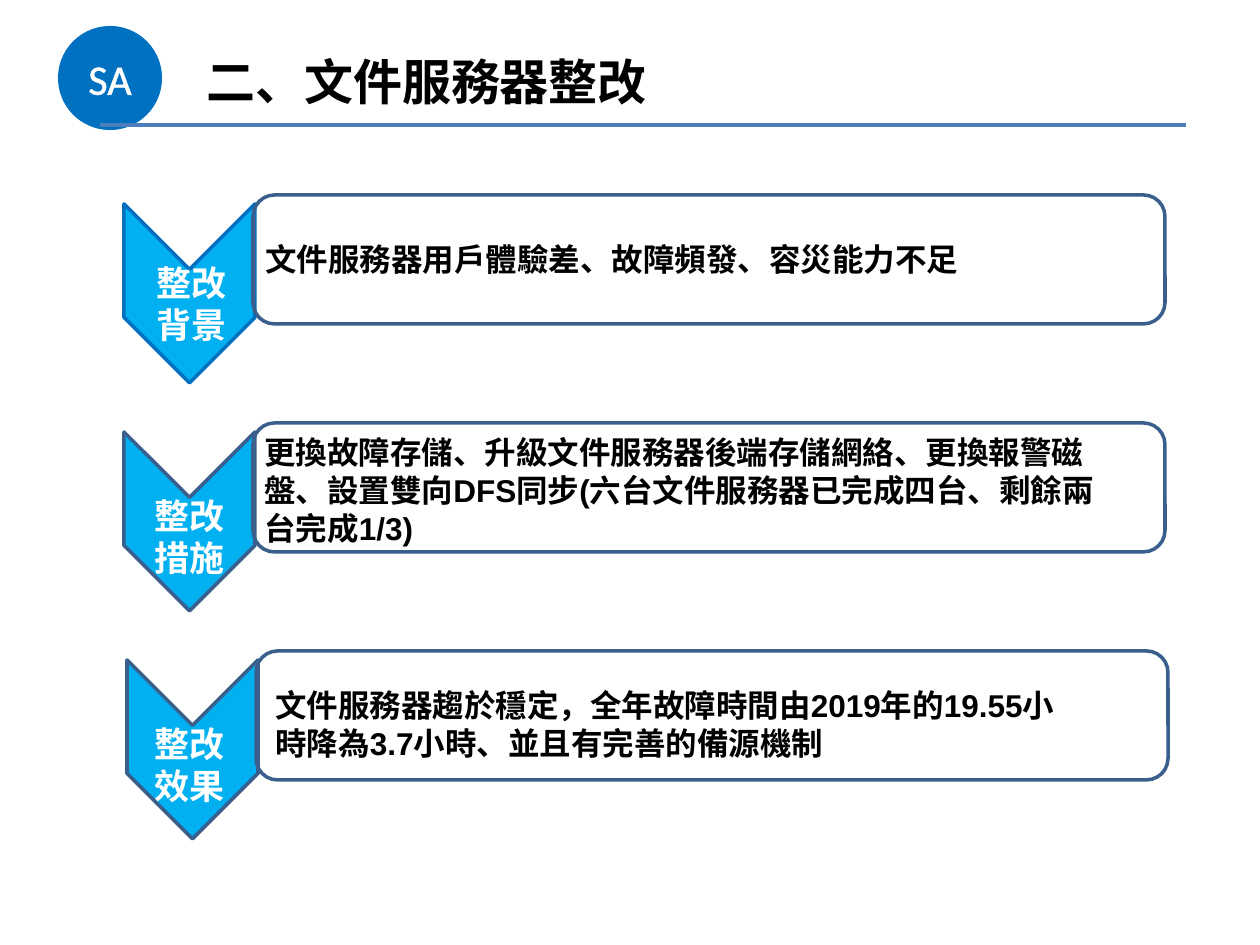
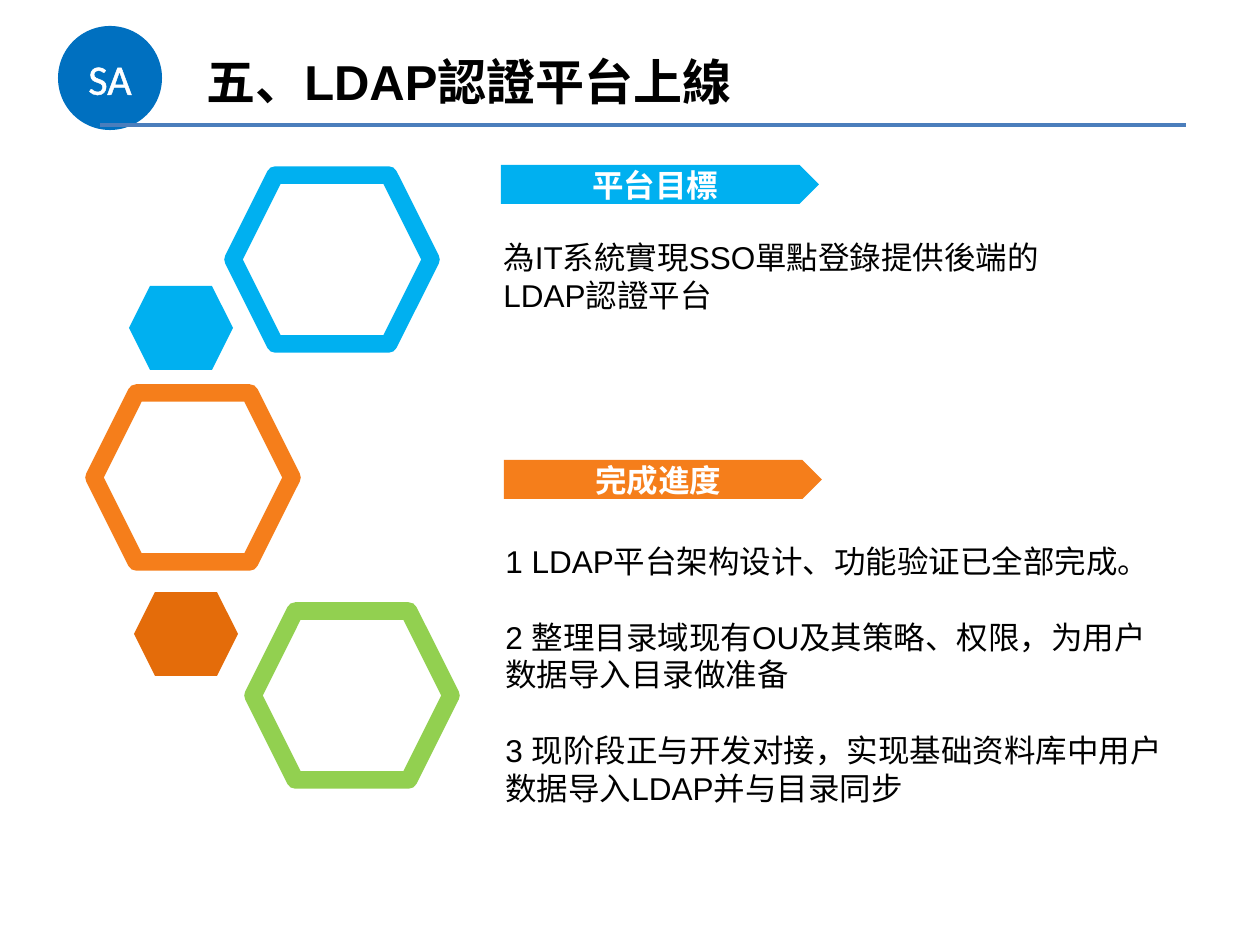
import pptx
import pptx.util
import pptx.dml.color
import pptx.enum.shapes
import pptx.enum.text
import lxml.etree

PIXEL = 914400 / 126
COLOURS = {
    "ink": "000000", "white": "FFFFFF", "badge": "0070C0", "rule": "4B7EBC",
    "sky": "00B0F0", "steel": "3A5F8C", "orange": "F57E1B",
    "dark orange": "E46C0A", "green": "92D050",
}
SHAPES = pptx.enum.shapes.MSO_SHAPE
ALIGN = pptx.enum.text.PP_ALIGN
ANCHOR = pptx.enum.text.MSO_ANCHOR


def emu(*pixels):
    """Turn pixel lengths into EMU."""
    return [pptx.util.Emu(round(pixel * PIXEL)) for pixel in pixels]


def colour(name):
    """Look up a named colour."""
    return pptx.dml.color.RGBColor.from_string(COLOURS[name])


def write(frame, text, size, ink="ink", bold=False, font="Arial", gap=0):
    """Fill a text frame, one paragraph a line, and format its runs."""
    frame.word_wrap = True
    frame.text = text
    for paragraph in frame.paragraphs:
        paragraph.space_after = pptx.util.Pt(gap)
        for run in paragraph.runs:
            run.font.size = pptx.util.Pt(size)
            run.font.name = font
            run.font.bold = bold
            run.font.color.rgb = colour(ink)


def add_text(slide, box, text, size, **style):
    """Place a text box."""
    write(slide.shapes.add_textbox(*emu(*box)).text_frame, text, size, **style)


def add_figure(slide, preset, box, fill=None, line=None, width=2):
    """Place a preset shape with an optional fill and outline."""
    figure = slide.shapes.add_shape(preset, *emu(*box))
    figure.shadow.inherit = False
    if fill:
        figure.fill.solid()
        figure.fill.fore_color.rgb = colour(fill)
    else:
        figure.fill.background()
    if line:
        figure.line.color.rgb = colour(line)
        figure.line.width = pptx.util.Pt(width)
    else:
        figure.line.fill.background()
    return figure


def add_caption(figure, text, size, bold=False):
    """Centre white text inside a filled shape."""
    frame = figure.text_frame
    write(frame, text, size, ink="white", bold=bold, font="Calibri")
    frame.vertical_anchor = ANCHOR.MIDDLE
    frame.paragraphs[0].alignment = ALIGN.CENTER
    frame.margin_top = frame.margin_bottom = 0


def outline_text(run, ink, width):
    """Give the letters of a run an outline."""
    qn = pptx.oxml.ns.qn
    outline = lxml.etree.Element(qn("a:ln"), w=str(pptx.util.Pt(width)))
    fill = lxml.etree.SubElement(outline, qn("a:solidFill"))
    lxml.etree.SubElement(fill, qn("a:srgbClr"), val=COLOURS[ink])
    run._r.get_or_add_rPr().insert(0, outline)


def add_header(slide, title):
    """Draw the round badge, the rule and the slide title."""
    badge = add_figure(slide, SHAPES.OVAL, (58, 26, 104, 104), fill="badge")
    add_caption(badge, "SA", 24)
    outline_text(badge.text_frame.paragraphs[0].runs[0], "white", 1.45)
    rule = slide.shapes.add_connector(
        pptx.enum.shapes.MSO_CONNECTOR.STRAIGHT, *emu(100, 125, 1186, 125))
    rule.line.color.rgb = colour("rule")
    rule.line.width = pptx.util.Pt(2)
    lxml.etree.SubElement(rule._element.spPr, pptx.oxml.ns.qn("a:effectLst"))
    add_text(slide, (194, 45, 903, 72), title, 28, bold=True)


def add_step(slide, left, top, label, label_at, detail, detail_box, edge):
    """Draw a down chevron with its label and the framed detail beside it."""
    chevron = add_figure(slide, SHAPES.CHEVRON, (left - 153, top + 33, 179, 131),
                         fill="sky", line=edge)
    chevron.rotation = 90
    add_figure(slide, SHAPES.ROUNDED_RECTANGLE, (left, top, 912, 129), line="steel")
    label_x, label_y = label_at
    add_text(slide, (left + label_x, top + label_y, 111, 97), label, 20,
             ink="white", bold=True)
    detail_x, detail_y, width, height = detail_box
    add_text(slide, (left + detail_x, top + detail_y, width, height), detail, 18,
             bold=True)


def add_hexagons(slide, left, top):
    """Draw the zigzag of three outlined and two solid hexagons."""
    rings = [(139, "sky"), (0, "orange"), (159, "green")]
    for index, (x, line) in enumerate(rings):
        add_figure(slide, SHAPES.HEXAGON, (left + x, top + index * 218, 198, 169),
                   line=line, width=10)
    for x, y, fill in [(35, 111, "sky"), (40, 417, "dark orange")]:
        add_figure(slide, SHAPES.HEXAGON, (left + x, top + y, 104, 84), fill=fill)


def add_section(slide, left, top, heading, fill, text, text_box):
    """Draw a pentagon heading and the text below it."""
    banner = add_figure(slide, SHAPES.PENTAGON, (left, top, 318, 39), fill=fill)
    add_caption(banner, heading, 18, bold=True)
    x, y, width, height = text_box
    add_text(slide, (left + x, top + y, width, height), text, 18, gap=21.5)


def build_file_server(slide):
    """Compose the file server slide: background, measures and results."""
    add_header(slide, "二、文件服務器整改")
    steps = [
        (253, "整改背景", (-109, 60), "文件服務器用戶體驗差、故障頻發、容災能力不足",
         (0, 39, 824, 50), "badge"),
        (253, "整改措施", (-111, 65),
         "更換故障存儲、升級文件服務器後端存儲網絡、更換報警磁盤、設置雙向DFS同步"
         "(六台文件服務器已完成四台、剩餘兩台完成1/3)",
         (-1, 4, 870, 127), "steel"),
        (256, "整改效果", (-114, 65),
         "文件服務器趨於穩定，全年故障時間由2019年的19.55小時降為3.7小時、"
         "並且有完善的備源機制",
         (7, 29, 833, 89), "steel"),
    ]
    for index, (left, *content) in enumerate(steps):
        add_step(slide, left, 195 + 228 * index, *content)


def build_ldap(slide):
    """Compose the LDAP slide: hexagons, goal and progress."""
    add_header(slide, "五、LDAP認證平台上線")
    add_hexagons(slide, 94, 175)
    add_section(slide, 501, 165, "平台目標", "sky",
                "為IT系統實現SSO單點登錄提供後端的LDAP認證平台", (-10, 67, 641, 89))
    progress = [
        "1 LDAP平台架构设计、功能验证已全部完成。",
        "2 整理目录域现有OU及其策略、权限，为用户数据导入目录做准备",
        "3 现阶段正与开发对接，实现基础资料库中用户数据导入LDAP并与目录同步",
    ]
    add_section(slide, 504, 460, "完成進度", "orange", "\n".join(progress),
                (-11, 76, 692, 280))


deck = pptx.Presentation()
deck.slide_width, deck.slide_height = emu(1260, 945)
for build in (build_file_server, build_ldap):
    build(deck.slides.add_slide(deck.slide_layouts[6]))
deck.save("out.pptx")
